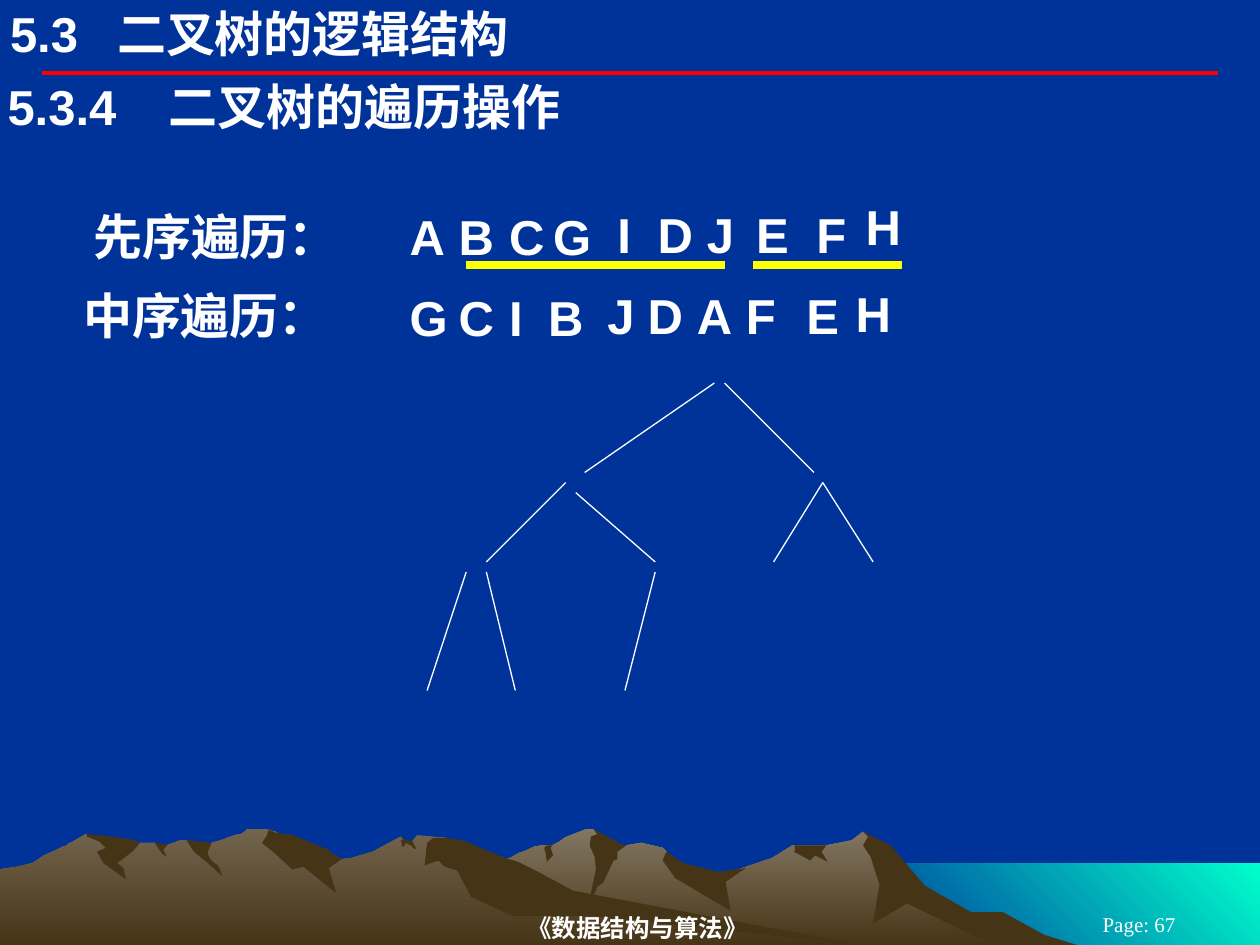
from lxml import etree
from pptx import Presentation
from pptx.dml.color import RGBColor
from pptx.enum.shapes import MSO_CONNECTOR
from pptx.enum.text import MSO_ANCHOR, PP_ALIGN
from pptx.oxml.ns import qn
from pptx.util import Pt

PX = 9144  # 100 px to the inch
STRAIGHT = MSO_CONNECTOR.STRAIGHT
TOP, MIDDLE = MSO_ANCHOR.TOP, MSO_ANCHOR.MIDDLE
LEFT, CENTER = PP_ALIGN.LEFT, PP_ALIGN.CENTER

WHITE, RED, YELLOW = "FFFFFF", "FF0000", "FFFF00"
BLUE, SEA, SHADE = "003399", "00FFCC", "463416"
SERIF = "Times New Roman"

# Outlines are "x,y" points in px; a fill is one colour or (from, to, angle).
WATER = "1000,752 683,752 683,685 1000,685"
FAR_RIDGE = """802,740 778,727 764,723 723,698 702,671 685,660 676,667 656,671
    629,671 613,681 566,697 536,690 529,676 526,673 509,669 497,671 486,673
    474,661 471,658 465,658 450,664 448,665 444,668 438,671 433,671 430,671
    424,672 418,675 412,677 405,681 399,683 395,684 394,685 355,698 327,709
    277,739 258,751 821,751"""
NEAR_RIDGE = """690,751 689,751 667,748 432,712 354,665 331,663 327,668 323,668
    318,664 296,676 279,681 271,682 260,676 236,681 223,663 222,662 219,660
    215,659 212,658 208,658 202,658 198,658 197,658 196,658 195,659 194,660
    191,662 189,662 186,663 183,664 180,665 178,666 168,669 160,671 148,667
    143,667 132,671 128,671 123,669 111,669 94,671 68,662 56,669 55,669
    53,671 50,672 46,674 35,679 26,685 14,688 0,690 0,751 175,751 647,751"""
FAR_SHADES = [
    """796,724 771,724 734,703 707,671 685,660 689,664 685,671 691,680 698,702
    693,733 720,717 792,752 858,751 829,742""",
    """471,658 474,662 469,664 468,671 472,680 473,690 465,727 474,704 479,700
    487,683 490,682 490,676 497,671 493,670""",
    """529,676 528,678 526,683 536,697 580,723 576,700 592,689 570,692
    542,685""",
    """650,671 630,671 631,672 631,675 630,676 643,683 647,679 657,684 652,676
    656,671""",
    """433,677 432,673 434,671 432,671 434,671 436,671 438,671 439,670 437,673
    439,679 434,684""",
]
NEAR_SHADES = [
    """212,663 208,669 219,678 232,690 241,688 267,709 261,689 271,682 270,681
    266,679 260,674 252,671 245,668 238,665 232,663 230,662 226,662 224,662
    220,661 219,661 217,660 215,659 213,659""",
    """370,668 361,666 354,665 344,665 339,669 337,687 348,683 353,688 363,691
    374,712 407,727 472,727 690,751 683,750 455,707 427,692 411,684 401,681
    386,675""",
    """318,667 319,667 320,666 319,665 318,664 323,667 327,667 328,669 329,671
    330,673 330,674 328,673 326,671 322,669 322,670 321,671 320,672 319,672
    319,670""",
    """154,667 157,668 161,668 168,669 165,676 165,678 166,680 167,682 169,684
    173,687 175,691 176,694 176,695 165,685 154,676 148,667""",
    """133,670 130,674 130,675 131,677 132,679 132,680 131,679 129,678 127,675
    126,674 123,669""",
    """109,668 111,669 105,676 93,685 98,689 100,698 82,685 77,676 84,673
    79,668 69,664 69,662 70,662 71,662 77,663 82,663 83,663 84,663 86,664
    90,664 93,665 94,665 104,666""",
]
SCENE = [
    (WATER, (SEA, BLUE, 135)),
    (FAR_RIDGE, ("837763", SHADE, 90)),
    *((shade, SHADE) for shade in FAR_SHADES),
    (NEAR_RIDGE, ("72644E", SHADE, 90)),
    *((shade, SHADE) for shade in NEAR_SHADES),
]

# Runs of letters that share one top: top, letters, lefts.
LETTERS = [
    (163, "ABCG", (323, 362, 402, 437)),
    (161, "IDJEF", (488, 520, 559, 598, 646)),
    (155, "H", (685,)),
    (227, "GCIB", (323, 362, 402, 433)),
    (226, "JDAFE", (480, 512, 551, 590, 638)),
    (224, "H", (677,)),
]
EDGES = [
    (653, 383, 693, 446), (567, 304, 464, 375), (449, 383, 386, 446),
    (370, 454, 339, 548), (386, 454, 409, 548), (457, 391, 520, 446),
    (520, 454, 496, 548), (575, 304, 646, 375), (653, 383, 614, 446),
]


def rgb(code):
    return RGBColor.from_string(code)


class Deck:
    font, size, color = "Arial", 28, WHITE
    inset = (2, 1, 2, 1)

    def __init__(self, width, height):
        self.prs = Presentation()
        self.prs.slide_width, self.prs.slide_height = width * PX, height * PX

    def page(self, color):
        self.slide = self.prs.slides.add_slide(self.prs.slide_layouts[6])
        fill = self.slide.background.fill
        fill.solid()
        fill.fore_color.rgb = rgb(color)

    def shape(self, outline, paint):
        points = [tuple(map(int, pair.split(","))) for pair in outline.split()]
        pen = self.slide.shapes.build_freeform(*points[0], scale=PX)
        pen.add_line_segments(points[1:], close=True)
        shape = pen.convert_to_shape()
        shape.shadow.inherit = False
        shape.line.fill.background()
        if isinstance(paint, str):
            shape.fill.solid()
            shape.fill.fore_color.rgb = rgb(paint)
            return
        *colors, angle = paint
        shape.fill.gradient()
        shape.fill.gradient_angle = 360 - angle  # counter-clockwise here
        for stop, color in zip(shape.fill.gradient_stops, colors):
            stop.color.rgb = rgb(color)

    def line(self, x1, y1, x2, y2, color=WHITE, width=0.75):
        ends = (n * PX for n in (x1, y1, x2, y2))
        line = self.slide.shapes.add_connector(STRAIGHT, *ends)
        line.line.color.rgb = rgb(color)
        line.line.width = Pt(width)
        etree.SubElement(line._element.spPr, qn("a:effectLst"))

    def text(self, words, x, y, w, h, font=None, size=None, bold=True,
             align=LEFT, anchor=TOP, inset=None, indent=0, tab=0):
        box = self.slide.shapes.add_textbox(*(n * PX for n in (x, y, w, h)))
        frame = box.text_frame
        frame.word_wrap = True
        frame.vertical_anchor = anchor
        (frame.margin_left, frame.margin_top, frame.margin_right,
         frame.margin_bottom) = (n * PX for n in inset or self.inset)
        par = frame.paragraphs[0]
        par.text = words
        par.alignment = align
        props = par._p.get_or_add_pPr()
        if indent:
            props.set("marL", str(indent * PX))
        if tab:
            tabs = etree.SubElement(props, qn("a:tabLst"))
            etree.SubElement(tabs, qn("a:tab"), pos=str(tab * PX), algn="l")
        par.font.name = font or self.font
        par.font.size = Pt(size or self.size)
        par.font.bold = bold
        par.font.color.rgb = rgb(self.color)


def main():
    deck = Deck(1000, 750)
    deck.page(BLUE)
    for outline, paint in SCENE:
        deck.shape(outline, paint)
    deck.line(33, 58, 967, 58, RED, 2.25)
    deck.text("《数据结构与算法》", 208, 722, 606, 28, SERIF, 14,
              align=CENTER, anchor=MIDDLE, inset=(0, 1, 10, 1))
    deck.text("Page: 67", 825, 725, 158, 17, SERIF, 12, bold=False,
              align=CENTER, anchor=MIDDLE, inset=(10, 5, 10, 5))

    deck.text("5.3\t二叉树的逻辑结构", 8, 3, 650, 47, inset=(0, 0, 0, 0), tab=85)
    deck.text("5.3.4\t二叉树的遍历操作", 4, 60, 996, 49, tab=128)
    deck.text("先序遍历：", 20, 163, 264, 96, indent=52)
    deck.text("中序遍历：", 20, 226, 256, 96, indent=44)
    for top, letters, lefts in LETTERS:
        for letter, left in zip(letters, lefts):
            deck.text(letter, left, top, 35, 49)

    for edge in EDGES:
        deck.line(*edge)
    for start, end in ((370, 575), (598, 716)):
        deck.line(start, 210, end, 210, YELLOW, 4.5)
    deck.prs.save("out.pptx")


if __name__ == "__main__":
    main()
